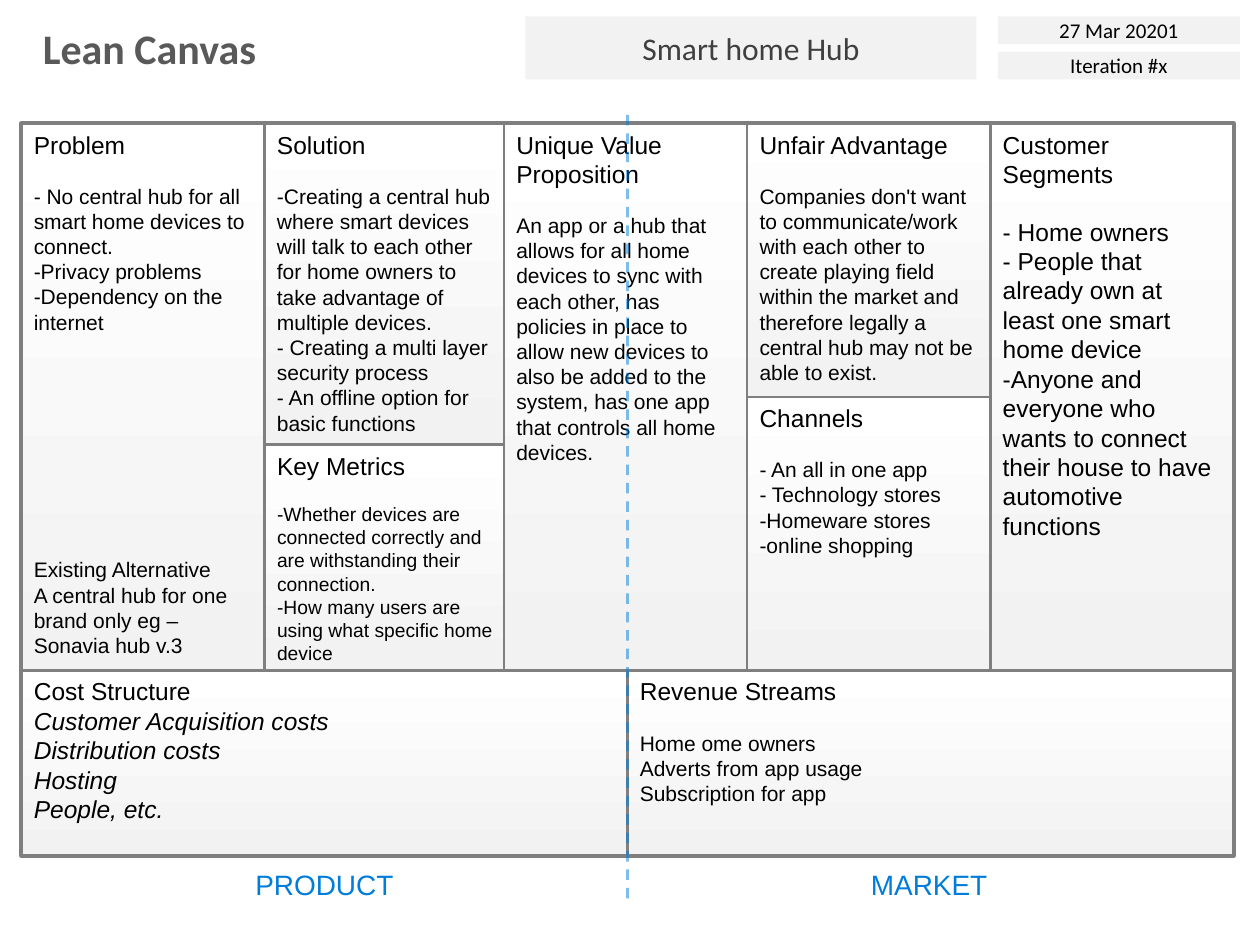
from dataclasses import dataclass

from lxml.etree import SubElement
from pptx import Presentation
from pptx.dml.color import RGBColor
from pptx.enum.dml import MSO_LINE_DASH_STYLE as Dash
from pptx.enum.shapes import MSO_CONNECTOR as Connector, MSO_SHAPE as Shape
from pptx.enum.text import MSO_ANCHOR as Anchor, MSO_AUTO_SIZE as AutoSize, PP_ALIGN as Align
from pptx.oxml.ns import qn
from pptx.util import Inches, Pt

GREY, PALE, WHITE, BLACK, BLUE = "7F7F7F", "F2F2F2", "FFFFFF", "000000", "007DDA"
LEFT, TOP, RIGHT, BOTTOM = 0.17, 0.98, 9.79, 6.79
COL_W = 1.93
MIDDLE = (LEFT + RIGHT) / 2
COST_TOP = 5.32
SOLUTION_END = 3.53
ADVANTAGE_END = 3.15
PROBLEM, SOLUTION = LEFT, LEFT + COL_W
VALUE, ADVANTAGE, SEGMENTS = (RIGHT - n * COL_W for n in (3, 2, 1))


@dataclass
class Cell:
    x: float
    y: float
    w: float
    bottom: float
    heading: str
    lines: list[str]
    size: int = 12
    italic: bool = False
    gap: bool = True


@dataclass
class Label:
    x: float
    y: float
    w: float
    h: float
    text: str
    size: int


CELLS = [
    Cell(LEFT, COST_TOP, MIDDLE - LEFT, BOTTOM, "Cost Structure",
         ["Customer Acquisition costs", "Distribution costs", "Hosting", "People, etc."],
         size=14, italic=True, gap=False),
    Cell(MIDDLE, COST_TOP, RIGHT - MIDDLE, BOTTOM, "Revenue Streams",
         ["Home ome owners", "Adverts from app usage", "Subscription for app"]),
    Cell(PROBLEM, TOP, COL_W, COST_TOP, "Problem",
         ["- No central hub for all smart home devices to connect.",
          "-Privacy problems", "-Dependency on the internet"]),
    Cell(SOLUTION, TOP, COL_W, SOLUTION_END, "Solution",
         ["-Creating a central hub where smart devices will talk to each other "
          "for home owners to take advantage of multiple devices.",
          "- Creating a multi layer security process",
          "- An offline option for basic functions"]),
    Cell(SOLUTION, SOLUTION_END, 1.99, COST_TOP, "Key Metrics",
         ["-Whether devices are connected correctly and are withstanding their connection.",
          "-How many users are using what specific home device"], size=11),
    Cell(VALUE, TOP, COL_W, COST_TOP, "Unique Value Proposition",
         ["An app or a hub that allows for all home devices to sync with each other, "
          "has policies in place to allow new devices to also be added to the system, "
          "has one app that controls all home devices."]),
    Cell(ADVANTAGE, TOP, COL_W, ADVANTAGE_END, "Unfair Advantage",
         ["Companies don't want to communicate/work with each other to create playing "
          "field within the market and therefore legally a central hub may not be able "
          "to exist."]),
    Cell(ADVANTAGE, ADVANTAGE_END, COL_W, COST_TOP, "Channels",
         ["- An all in one app", "- Technology stores", "-Homeware stores",
          "-online shopping"]),
    Cell(SEGMENTS, TOP, COL_W, COST_TOP, "Customer Segments",
         ["- Home owners", "- People that already own at least one smart home device",
          "-Anyone and everyone who wants to connect their house to have automotive "
          "functions"], size=14),
]
HEADER = [
    (Label(4.17, 0.13, 3.58, 0.5, "Smart home Hub", 18), "3F3F3F"),
    (Label(7.92, 0.13, 1.92, 0.22, "27 Mar 20201", 12), BLACK),
    (Label(7.92, 0.41, 1.92, 0.22, "Iteration #x", 12), BLACK),
]
SIDES = [Label(1.92, 6.84, 1.31, 0.37, "PRODUCT", 16),
         Label(6.81, 6.84, 1.13, 0.37, "MARKET", 16)]


def rgb(color: str) -> RGBColor:
    return RGBColor.from_string(color)


def write(p, text: str, *, size: int, color: str = BLACK, font: str = "Arial",
          bold: bool = False, italic: bool = False, align=Align.LEFT,
          before: float = 0) -> None:
    p.alignment, p.space_before = align, Pt(before)
    r = p.add_run()
    r.text = text
    f = r.font
    f.size, f.name, f.bold, f.italic = Pt(size), font, bold, italic
    f.color.rgb = rgb(color)


def add_box(slide, x: float, y: float, w: float, h: float, *, rounded: bool = True,
            fill: str | None = None, line: float = 0, anchor=Anchor.TOP):
    kind = Shape.ROUNDED_RECTANGLE if rounded else Shape.RECTANGLE
    sp = slide.shapes.add_shape(kind, Inches(x), Inches(y), Inches(w), Inches(h))
    sp.shadow.inherit = False
    if rounded:
        sp.adjustments[0] = 0
    if fill:
        sp.fill.solid()
        sp.fill.fore_color.rgb = rgb(fill)
    else:
        sp.fill.background()
    if line:
        sp.line.color.rgb = rgb(GREY)
        sp.line.width = Pt(line)
    else:
        sp.line.fill.background()
    sp.text_frame.word_wrap = True
    sp.text_frame.vertical_anchor = anchor
    return sp


def add_cell(slide, cell: Cell) -> None:
    sp = add_box(slide, cell.x, cell.y, cell.w, cell.bottom - cell.y, line=1.5)
    sp.fill.gradient()
    sp.fill.gradient_angle = 90
    for stop, color in zip(sp.fill.gradient_stops, (PALE, WHITE)):
        stop.color.rgb = rgb(color)
    tf = sp.text_frame
    write(tf.paragraphs[0], cell.heading, size=14)
    for i, text in enumerate(cell.lines):
        one_line = 1.15 * cell.size if cell.gap and i == 0 else 0
        write(tf.add_paragraph(), text, size=cell.size, italic=cell.italic, before=one_line)


def add_side(slide, label: Label) -> None:
    sp = slide.shapes.add_textbox(*map(Inches, (label.x, label.y, label.w, label.h)))
    sp.text_frame.word_wrap = True
    write(sp.text_frame.paragraphs[0], label.text, size=label.size, color=BLUE,
          align=Align.CENTER)


def add_divider(slide) -> None:
    """Draw the half-transparent dashed line between product and market."""
    cn = slide.shapes.add_connector(Connector.STRAIGHT, Inches(MIDDLE), Inches(7.13),
                                    Inches(MIDDLE), Inches(0.86))
    cn.line.color.rgb = rgb(BLUE)
    cn.line.width = Pt(1.5)
    cn.line.dash_style = Dash.DASH
    sp_pr = cn.element.spPr
    SubElement(sp_pr.find(".//" + qn("a:srgbClr")), qn("a:alpha"), val="50000")
    SubElement(sp_pr, qn("a:effectLst"))


def set_title(slide, text: str) -> None:
    title = slide.shapes.title
    title.left, title.top, title.width, title.height = map(Inches, (0.24, 0.13, 1.92, 0.5))
    tf = title.text_frame
    tf.word_wrap, tf.auto_size, tf.vertical_anchor = False, AutoSize.NONE, Anchor.TOP
    write(tf.paragraphs[0], text, size=24, color="595959", font="Calibri", bold=True)


def main() -> None:
    prs = Presentation()
    prs.slide_width, prs.slide_height = Inches(10), Inches(7.5)
    slide = prs.slides.add_slide(prs.slide_layouts[5])
    set_title(slide, "Lean Canvas")
    add_box(slide, LEFT, TOP, RIGHT - LEFT, BOTTOM - TOP, line=3)
    for label, color in HEADER:
        sp = add_box(slide, label.x, label.y, label.w, label.h, rounded=False, fill=PALE,
                     anchor=Anchor.MIDDLE)
        write(sp.text_frame.paragraphs[0], label.text, size=label.size, color=color,
              font="Calibri", align=Align.CENTER)
    for cell in CELLS:
        add_cell(slide, cell)
    for label in SIDES:
        add_side(slide, label)
    add_divider(slide)
    tf = add_box(slide, PROBLEM, 4.37, COL_W, COST_TOP - 4.37).text_frame
    write(tf.paragraphs[0], "Existing Alternative", size=12)
    write(tf.add_paragraph(), "A central hub for one brand only eg – Sonavia hub v.3", size=12)
    prs.save("out.pptx")


if __name__ == "__main__":
    main()
